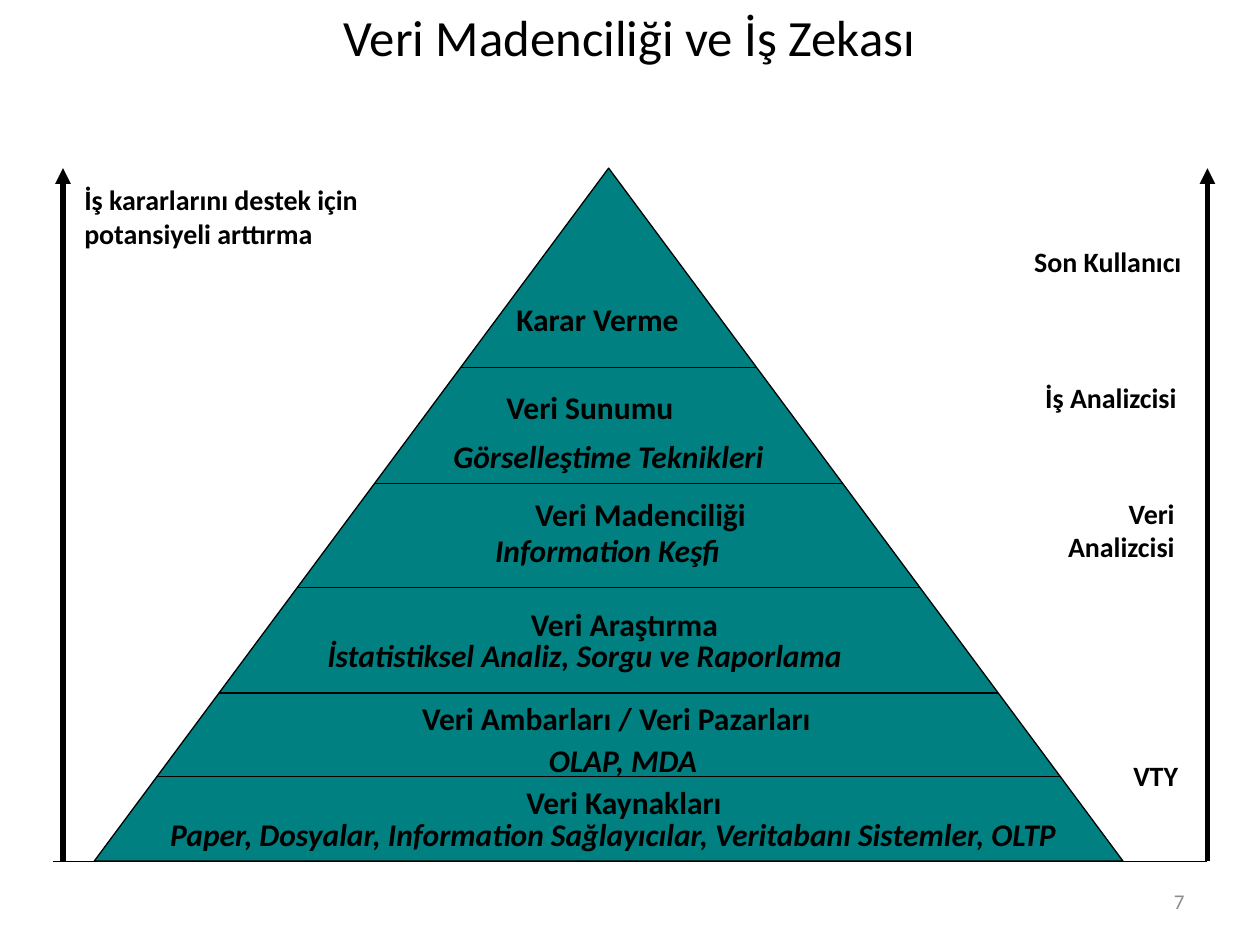
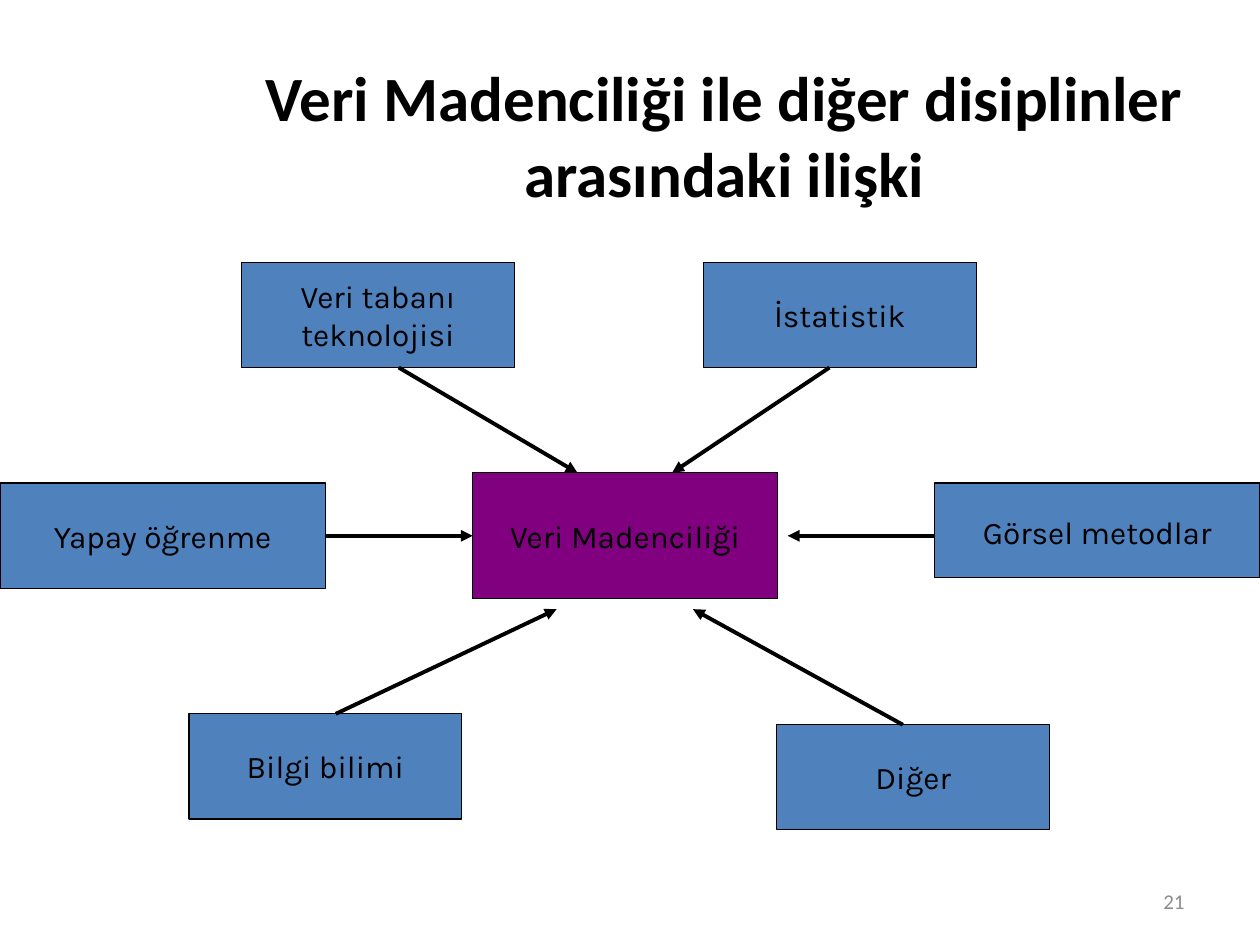
from dataclasses import dataclass
from typing import NamedTuple, Optional

from lxml import etree
from pptx import Presentation
from pptx.dml.color import RGBColor
from pptx.enum.shapes import MSO_CONNECTOR, MSO_SHAPE
from pptx.enum.text import MSO_ANCHOR, MSO_AUTO_SIZE, PP_ALIGN
from pptx.oxml.ns import qn
from pptx.shapes.autoshape import Shape
from pptx.shapes.connector import Connector
from pptx.slide import Slide
from pptx.util import Cm, Pt

LEFT, CENTER, RIGHT = PP_ALIGN.LEFT, PP_ALIGN.CENTER, PP_ALIGN.RIGHT
MIDDLE, TOP = MSO_ANCHOR.MIDDLE, MSO_ANCHOR.TOP
STRAIGHT = MSO_CONNECTOR.STRAIGHT
RECTANGLE, TRIANGLE = MSO_SHAPE.RECTANGLE, MSO_SHAPE.FLOWCHART_EXTRACT
LEFT_SIDE, RIGHT_SIDE = 1, 3


@dataclass(frozen=True)
class Theme:
    ink: RGBColor = RGBColor(0x00, 0x00, 0x00)
    number: RGBColor = RGBColor(0x8C, 0x8C, 0x8C)
    pyramid: RGBColor = RGBColor(0x00, 0x80, 0x80)
    hub: RGBColor = RGBColor(0x80, 0x00, 0x80)
    discipline: RGBColor = RGBColor(0x4F, 0x81, 0xBD)
    text_font: str = "Calibri"
    box_font: str = "Karla"
    pyramid_title_size: float = 29
    disciplines_title_size: float = 36
    body_size: float = 18
    role_size: float = 16
    number_size: float = 12
    thin: float = 0.75
    arrow: float = 2.25
    axis: float = 3


THEME = Theme()


class Box(NamedTuple):
    """A frame in centimetres."""
    left: float
    top: float
    width: float
    height: float

    def lengths(self) -> list[Cm]:
        return [Cm(value) for value in self]


class Label(NamedTuple):
    text: str
    left: float
    top: float
    width: float
    italic: bool = False
    align: PP_ALIGN = LEFT


class Discipline(NamedTuple):
    text: str
    box: Box
    line_spacing: Optional[float] = None


class Line(NamedTuple):
    start: tuple[float, float]
    end: tuple[float, float]


# What the slides share
def write(shape: Shape, text: str, size: float, align: PP_ALIGN = CENTER,
          anchor: MSO_ANCHOR = MIDDLE, font: str = THEME.text_font,
          color: RGBColor = THEME.ink, bold: bool = False, italic: bool = False,
          wrap: bool = True, line_spacing: Optional[float] = None) -> None:
    frame = shape.text_frame
    frame.text = text
    frame.word_wrap = wrap
    frame.vertical_anchor = anchor
    for paragraph in frame.paragraphs:
        paragraph.alignment = align
        if line_spacing:
            paragraph.line_spacing = line_spacing
        for run in paragraph.runs:
            run.font.name = font
            run.font.size = Pt(size)
            run.font.color.rgb = color
            run.font.bold = bold
            run.font.italic = italic


def add_title(slide: Slide, text: str, box: Box, size: float, bold: bool = False) -> None:
    write(slide.shapes.add_textbox(*box.lengths()), text, size, bold=bold)


def add_number(slide: Slide, number: int) -> None:
    shape = slide.shapes.add_textbox(*Box(18.2, 17.66, 5.93, 1.01).lengths())
    write(shape, str(number), THEME.number_size, RIGHT, color=THEME.number)


def add_filled(slide: Slide, kind: MSO_SHAPE, box: Box, fill: RGBColor) -> Shape:
    shape = slide.shapes.add_shape(kind, *box.lengths())
    shape.shadow.inherit = False
    shape.fill.solid()
    shape.fill.fore_color.rgb = fill
    shape.line.color.rgb = THEME.ink
    shape.line.width = Pt(THEME.thin)
    return shape


def add_line(slide: Slide, line: Line, width: float, arrow: bool = False) -> Connector:
    ends = [Cm(value) for value in (*line.start, *line.end)]
    connector = slide.shapes.add_connector(STRAIGHT, *ends)
    connector.line.color.rgb = THEME.ink
    connector.line.width = Pt(width)
    if arrow:
        outline = connector.line._get_or_add_ln()
        etree.SubElement(outline, qn("a:tailEnd"), type="triangle")
    etree.SubElement(connector._element.spPr, qn("a:effectLst"))
    return connector


def add_label(slide: Slide, label: Label, size: float, height: float) -> None:
    box = Box(label.left, label.top, label.width, height)
    shape = slide.shapes.add_textbox(*box.lengths())
    write(shape, label.text, size, label.align, TOP,
          bold=True, italic=label.italic, wrap=False)
    shape.text_frame.auto_size = MSO_AUTO_SIZE.SHAPE_TO_FIT_TEXT


# Business intelligence pyramid
PYRAMID = Box(1.9, 3.39, 20.74, 13.97)
BASE = PYRAMID.top + PYRAMID.height
LAYER_TOPS = (15.66, 13.97, 11.85, 9.74, 7.41)
AXES = (1.27, 24.34)

ROLES = (
    Label("Son Kullanıcı", 20.29, 4.8, 3.78, align=RIGHT),
    Label("İş Analizcisi", 20.52, 7.54, 3.45, align=RIGHT),
    Label("Veri Analizcisi", 20.25, 9.88, 3.68, align=RIGHT),
    Label("VTY", 22.3, 15.16, 1.7, align=RIGHT),
)
PURPOSE = Label("İş kararlarını destek için\npotansiyeli arttırma", 1.45, 3.56, 6.63)
LAYERS = (
    Label("Karar Verme", 10.16, 5.92, 4.19),
    Label("Veri Sunumu", 9.96, 7.7, 4.17),
    Label("Görselleştime Teknikleri", 8.89, 8.69, 6.96, True),
    Label("Veri Madenciliği", 10.54, 9.86, 5.08),
    Label("Information Keşfi", 9.73, 10.59, 5.23, True),
    Label("Veri Araştırma", 9.96, 12.07, 5.26, align=CENTER),
    Label("İstatistiksel Analiz, Sorgu ve Raporlama", 6.35, 12.7, 11.05, True),
    Label("Veri Ambarları / Veri Pazarları", 8.26, 13.97, 9.14),
    Label("OLAP, MDA", 10.59, 14.81, 3.94, True, CENTER),
    Label("Veri Kaynakları", 10.36, 15.66, 4.98),
    Label("Paper, Dosyalar, Information Sağlayıcılar, Veritabanı Sistemler, OLTP",
          3.18, 16.3, 18.9, True),
)


def layer_line(top: float) -> Line:
    """A level line that runs from one slope of the pyramid to the other."""
    middle = PYRAMID.left + PYRAMID.width / 2
    reach = (top - PYRAMID.top) / PYRAMID.height * PYRAMID.width / 2
    return Line((middle - reach, top), (middle + reach, top))


def build_pyramid(slide: Slide) -> None:
    add_title(slide, "Veri Madenciliği ve İş Zekası", Box(1.9, 0, 21.59, 1.47),
              THEME.pyramid_title_size)
    add_filled(slide, TRIANGLE, PYRAMID, THEME.pyramid)
    for top in LAYER_TOPS:
        add_line(slide, layer_line(top), THEME.thin)
    for x in AXES:
        add_line(slide, Line((x, BASE), (x, PYRAMID.top)), THEME.axis, arrow=True)
    add_label(slide, PURPOSE, THEME.role_size, 1.63)
    for role in ROLES:
        add_label(slide, role, THEME.role_size, 0.94)
    for layer in LAYERS:
        add_label(slide, layer, THEME.body_size, 1.02)
    add_line(slide, Line((1.06, BASE), (24.34, BASE)), THEME.thin)
    add_number(slide, 7)


# Related disciplines around data mining
HUB = Discipline("Veri Madenciliği", Box(9.53, 9.53, 6.14, 2.54))
LEARNING = Discipline("Yapay öğrenme", Box(0, 9.74, 6.56, 2.12))
DISCIPLINES = (
    Discipline("Veri tabanı\nteknolojisi", Box(4.87, 5.29, 5.5, 2.12)),
    Discipline("İstatistik", Box(14.18, 5.29, 5.5, 2.12)),
    Discipline("Diğer", Box(15.66, 14.61, 5.5, 2.12)),
    Discipline("Bilgi bilimi", Box(3.81, 14.39, 5.5, 2.12)),
    Discipline("Görsel metodlar", Box(18.84, 9.74, 6.56, 1.91), 1.1),
)
LEARNING_ARROW = Line((6.56, 10.8), (9.53, 10.8))
ARROWS = (
    Line((8.04, 7.41), (11.64, 9.53)),
    Line((16.72, 7.41), (13.55, 9.53)),
    Line((18.84, 10.8), (15.88, 10.8)),
    Line((18.2, 14.61), (13.97, 12.28)),
    Line((6.77, 14.39), (11.22, 12.28)),
)


def add_discipline(slide: Slide, discipline: Discipline,
                   fill: RGBColor = THEME.discipline) -> Shape:
    shape = add_filled(slide, RECTANGLE, discipline.box, fill)
    write(shape, discipline.text, THEME.body_size, font=THEME.box_font,
          wrap=False, line_spacing=discipline.line_spacing)
    return shape


def build_disciplines(slide: Slide) -> None:
    add_title(slide, "Veri Madenciliği ile diğer disiplinler arasındaki ilişki",
              Box(3.81, 1.06, 21.59, 3.3), THEME.disciplines_title_size, bold=True)
    hub = add_discipline(slide, HUB, THEME.hub)
    learning = add_discipline(slide, LEARNING)
    for discipline in DISCIPLINES:
        add_discipline(slide, discipline)
    joined = add_line(slide, LEARNING_ARROW, THEME.arrow, arrow=True)
    joined.begin_connect(learning, RIGHT_SIDE)
    joined.end_connect(hub, LEFT_SIDE)
    for arrow in ARROWS:
        add_line(slide, arrow, THEME.arrow, arrow=True)
    add_number(slide, 21)


def main() -> None:
    presentation = Presentation()
    presentation.slide_width = Cm(25.4)
    presentation.slide_height = Cm(19.05)
    blank = presentation.slide_layouts[6]
    for build in (build_pyramid, build_disciplines):
        build(presentation.slides.add_slide(blank))
    presentation.save("out.pptx")


if __name__ == "__main__":
    main()
